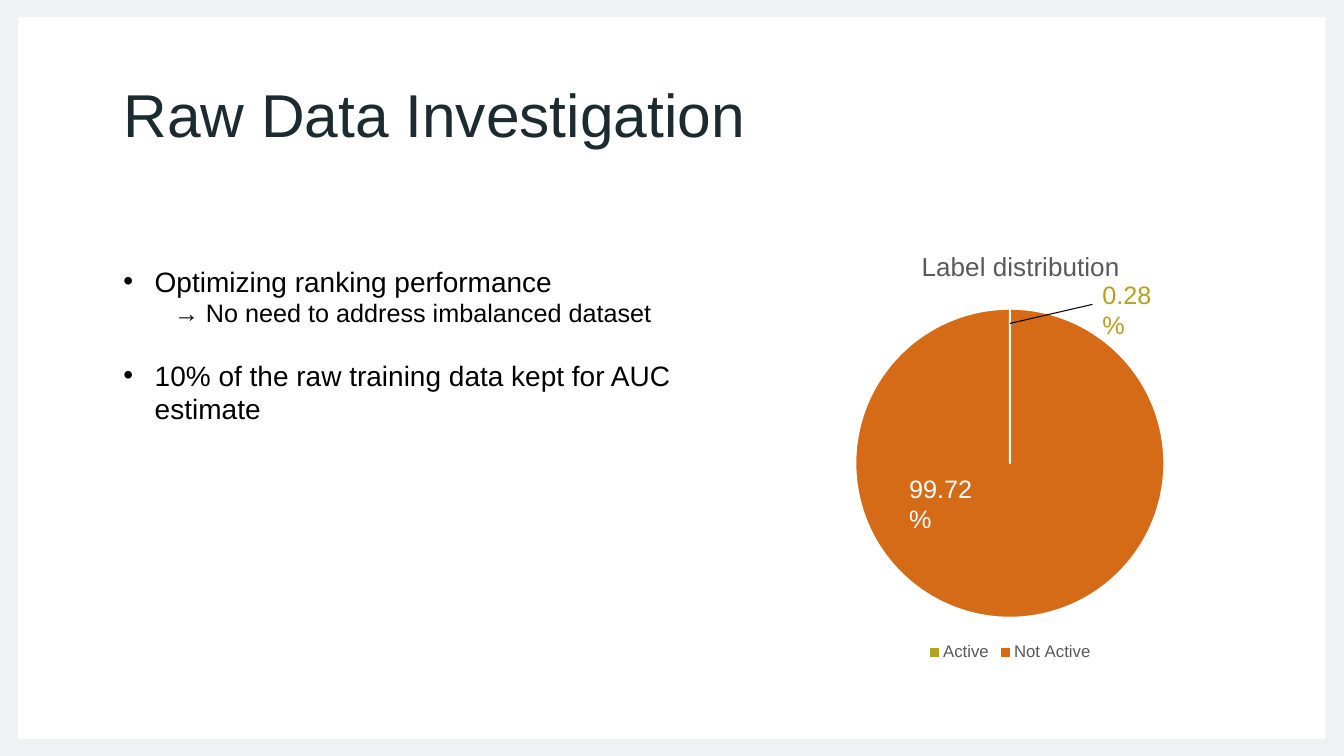
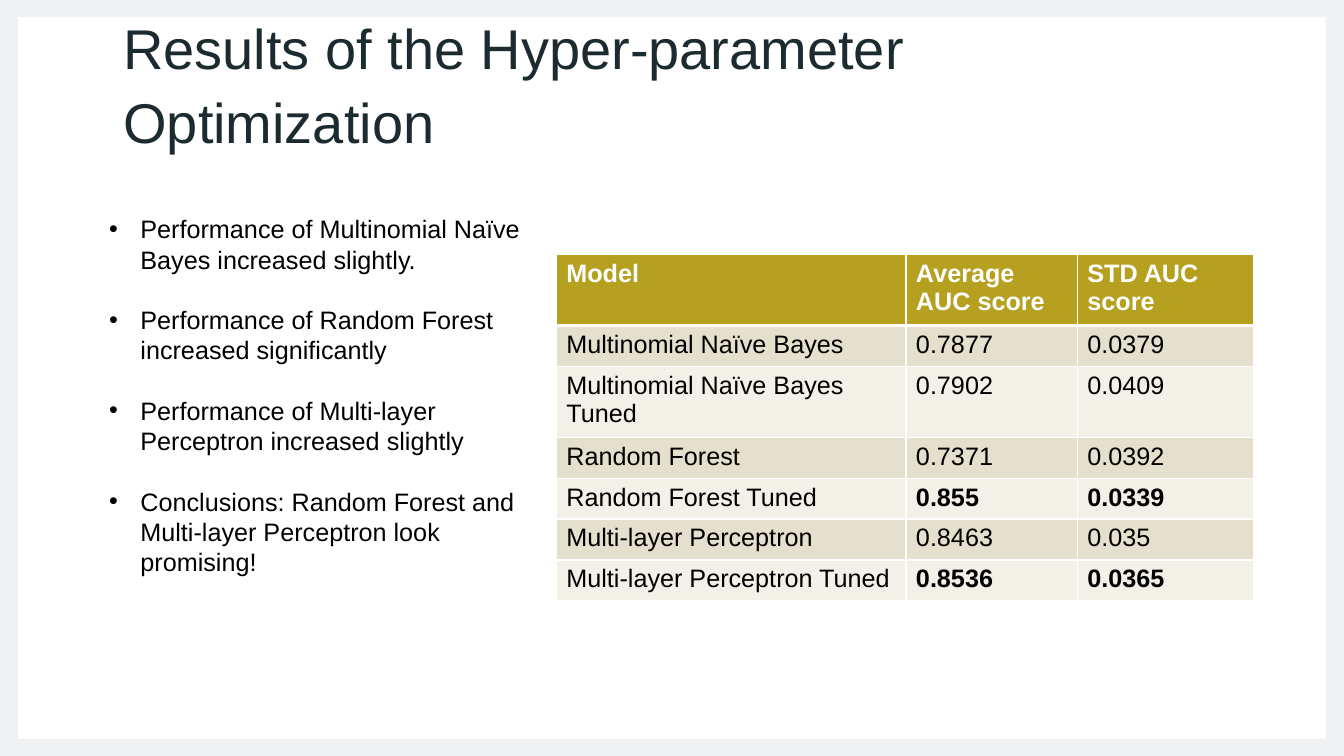
from dataclasses import dataclass

from lxml import etree
from pptx import Presentation
from pptx.chart.data import CategoryChartData
from pptx.dml.color import RGBColor
from pptx.enum.chart import XL_CHART_TYPE, XL_LEGEND_POSITION
from pptx.enum.shapes import MSO_CONNECTOR
from pptx.enum.text import MSO_ANCHOR, MSO_AUTO_SIZE
from pptx.oxml.ns import qn
from pptx.slide import Slide
from pptx.table import _Cell
from pptx.text.text import Font, TextFrame, _Paragraph
from pptx.util import Cm, Pt

PIE = XL_CHART_TYPE.PIE
LEGEND_BOTTOM = XL_LEGEND_POSITION.BOTTOM
STRAIGHT = MSO_CONNECTOR.STRAIGHT
ANCHOR_TOP = MSO_ANCHOR.TOP
ANCHOR_BOTTOM = MSO_ANCHOR.BOTTOM
NO_AUTOFIT = MSO_AUTO_SIZE.NONE


@dataclass(frozen=True)
class Theme:
    font: str = "Arial"
    frame: str = "F0F1F3"
    heading: str = "1B2B30"
    text: str = "000000"
    muted: str = "595959"
    white: str = "FFFFFF"
    olive: str = "B6A020"
    orange: str = "D56A17"
    band_dark: str = "E5DFCD"
    band_light: str = "F3F0E8"
    title_size: float = 43.2
    long_title_size: float = 40
    lead_size: float = 20
    body_size: float = 18
    chart_title_size: float = 18.6
    chart_size: float = 10
    legend_size: float = 12
    bullet_gap: float = 21.6


@dataclass(frozen=True)
class Box:
    left: float
    top: float
    width: float
    height: float

    def emu(self) -> tuple[Cm, Cm, Cm, Cm]:
        return Cm(self.left), Cm(self.top), Cm(self.width), Cm(self.height)


@dataclass(frozen=True)
class Item:
    text: str
    size: float
    gap: float = 0
    level: int = 0


@dataclass(frozen=True)
class Label:
    text: str
    box: Box
    color: str


@dataclass(frozen=True)
class Score:
    model: str
    average: str
    std: str
    best: bool = False
    height: float = 1.03


THEME = Theme()
PAGE = Box(0, 0, 33.87, 19.05)
PANEL = Box(0.46, 0.43, 32.95, 18.19)
TEXT_LEFT = 2.86
BULLET_INDENT = 0.79
SUB_INDENT = 1.27

INVESTIGATION = [
    Item("Optimizing ranking performance", THEME.lead_size),
    Item("→ No need to address imbalanced dataset", THEME.body_size, level=1),
    Item("10% of the raw training data kept for AUC estimate",
         THEME.lead_size, THEME.bullet_gap),
]
FINDINGS = [
    "Performance of Multinomial Naïve Bayes increased slightly.",
    "Performance of Random Forest increased significantly",
    "Performance of Multi-layer Perceptron increased slightly",
    "Conclusions: Random Forest and Multi-layer Perceptron look promising!",
]
SHARES = {"Active": 0, "Not Active": 100}
SHARE_LABELS = [
    Label("0.28%", Box(27.53, 6.92, 2.08, 1.02), THEME.olive),
    Label("99.72%", Box(22.66, 11.8, 2.41, 1.02), THEME.white),
]
HEADERS = ["Model", "Average AUC score", "STD AUC score"]
TWO_LINE_HEIGHT = 1.79
SCORES = [
    Score("Multinomial Naïve Bayes", "0.7877", "0.0379"),
    Score("Multinomial Naïve Bayes Tuned", "0.7902", "0.0409", height=TWO_LINE_HEIGHT),
    Score("Random Forest", "0.7371", "0.0392"),
    Score("Random Forest Tuned", "0.855", "0.0339", best=True),
    Score("Multi-layer Perceptron", "0.8463", "0.035"),
    Score("Multi-layer Perceptron Tuned", "0.8536", "0.0365", best=True),
]
COLUMN_WIDTHS = [8.81, 4.32, 4.45]


def rgb(color: str) -> RGBColor:
    return RGBColor.from_string(color)


def style_font(font: Font, size: float, color: str, bold: bool = False) -> None:
    font.name = THEME.font
    font.size = Pt(size)
    font.bold = bold
    font.color.rgb = rgb(color)


def style_runs(p: _Paragraph, size: float, color: str, bold: bool = False) -> None:
    for r in p.runs:
        style_font(r.font, size, color, bold)


def add_text_frame(s: Slide, box: Box) -> TextFrame:
    tf = s.shapes.add_textbox(*box.emu()).text_frame
    tf.word_wrap = True
    tf.auto_size = NO_AUTOFIT
    tf.vertical_anchor = ANCHOR_TOP
    return tf


def add_frame(s: Slide) -> None:
    right, bottom = Cm(PANEL.left + PANEL.width), Cm(PANEL.top + PANEL.height)
    left, top = Cm(PANEL.left), Cm(PANEL.top)
    width, height = Cm(PAGE.width), Cm(PAGE.height)
    outline = s.shapes.build_freeform(left, top)
    outline.add_line_segments([(left, bottom), (right, bottom), (right, top)])
    outline.move_to(0, 0)
    outline.add_line_segments([(width, 0), (width, height), (0, height)])
    sp = outline.convert_to_shape()
    sp.shadow.inherit = False
    sp.fill.solid()
    sp.fill.fore_color.rgb = rgb(THEME.frame)
    sp.line.fill.background()


def add_title(s: Slide, text: str, size: float, height: float) -> None:
    tf = add_text_frame(s, Box(TEXT_LEFT, 2.01, 28.14, height))
    tf.vertical_anchor = ANCHOR_BOTTOM
    tf.text = text
    p = tf.paragraphs[0]
    p.line_spacing = 1.1
    style_runs(p, size, THEME.heading)


def start_slide(prs: Presentation, title: str, size: float, height: float) -> Slide:
    s = prs.slides.add_slide(prs.slide_layouts[6])
    s.background.fill.solid()
    s.background.fill.fore_color.rgb = rgb(THEME.white)
    add_frame(s)
    add_title(s, title, size, height)
    return s


def indent(p: _Paragraph, level: int) -> None:
    pPr = p._p.get_or_add_pPr()
    if level:
        p.level = level
        pPr.set("marL", str(Cm(SUB_INDENT)))
        pPr.set("indent", "0")
        etree.SubElement(pPr, qn("a:buNone"))
    else:
        pPr.set("marL", str(Cm(BULLET_INDENT)))
        pPr.set("indent", str(-Cm(BULLET_INDENT)))
        etree.SubElement(pPr, qn("a:buFont"), typeface=THEME.font)
        etree.SubElement(pPr, qn("a:buChar"), char="•")


def add_bullets(s: Slide, box: Box, items: list[Item]) -> None:
    tf = add_text_frame(s, box)
    tf.text = "\n".join(item.text for item in items)
    for p, item in zip(tf.paragraphs, items):
        p.space_before = Pt(item.gap)
        indent(p, item.level)
        style_runs(p, item.size, THEME.text)


def add_label(s: Slide, label: Label) -> None:
    tf = add_text_frame(s, label.box)
    tf.text = label.text
    style_runs(tf.paragraphs[0], THEME.body_size, label.color)


def add_leader(s: Slide, x1: float, y1: float, x2: float, y2: float) -> None:
    leader = s.shapes.add_connector(STRAIGHT, Cm(x1), Cm(y1), Cm(x2), Cm(y2))
    leader.line.color.rgb = rgb(THEME.text)
    leader.line.width = Pt(0.75)
    etree.SubElement(leader._element.spPr, qn("a:effectLst"))


def place(part: etree.ElementBase, index: int, **settings: str | float) -> None:
    for old in part.findall(qn("c:layout")):
        part.remove(old)
    layout = etree.Element(qn("c:layout"))
    manual = etree.SubElement(layout, qn("c:manualLayout"))
    for name, value in settings.items():
        etree.SubElement(manual, qn(f"c:{name}"), val=str(value))
    part.insert(index, layout)


def add_pie(s: Slide, box: Box, title: str, shares: dict[str, float]) -> None:
    data = CategoryChartData(number_format="0")
    data.categories = list(shares)
    data.add_series(title, list(shares.values()))
    chart = s.shapes.add_chart(PIE, *box.emu(), data).chart
    style_font(chart.font, THEME.chart_size, THEME.text)
    chart.has_title = True
    chart.chart_title.include_in_layout = False
    tf = chart.chart_title.text_frame
    tf.text = title
    style_runs(tf.paragraphs[0], THEME.chart_title_size, THEME.muted)
    chart.has_legend = True
    chart.legend.position = LEGEND_BOTTOM
    chart.legend.include_in_layout = False
    style_font(chart.legend.font, THEME.legend_size, THEME.muted)
    plot = chart.plots[0]
    plot.vary_by_categories = True
    plot.has_data_labels = False
    for i, color in enumerate([THEME.olive, THEME.orange]):
        style = plot.series[0].points[i].format
        style.fill.solid()
        style.fill.fore_color.rgb = rgb(color)
        style.line.color.rgb = rgb(THEME.white)
        style.line.width = Pt(1.5)
    place(chart.chart_title._element, 1, xMode="edge", yMode="edge", x=0.31, y=0.02)
    place(chart._chartSpace.chart.plotArea, 0, layoutTarget="inner",
          xMode="edge", yMode="edge", x=0.18, y=0.17, w=0.64, h=0.72)


def fill_cell(cell: _Cell, text: str, fill: str, color: str, bold: bool,
              bottom_width: float = 1) -> None:
    cell.text = text
    style_runs(cell.text_frame.paragraphs[0], THEME.body_size, color, bold)
    cell.fill.solid()
    cell.fill.fore_color.rgb = rgb(fill)
    tcPr = cell._tc.get_or_add_tcPr()
    widths = {"lnL": 1, "lnR": 1, "lnT": 1, "lnB": bottom_width}
    for i, (side, width) in enumerate(widths.items()):
        border = etree.Element(qn(f"a:{side}"), w=str(Pt(width)))
        solid = etree.SubElement(border, qn("a:solidFill"))
        etree.SubElement(solid, qn("a:srgbClr"), val=THEME.white)
        tcPr.insert(i, border)


def add_scores(s: Slide, left: float, top: float) -> None:
    heights = [TWO_LINE_HEIGHT] + [score.height for score in SCORES]
    box = Box(left, top, sum(COLUMN_WIDTHS), sum(heights))
    table = s.shapes.add_table(len(heights), len(HEADERS), *box.emu()).table
    table.horz_banding = False
    for column, width in zip(table.columns, COLUMN_WIDTHS):
        column.width = Cm(width)
    for row, height in zip(table.rows, heights):
        row.height = Cm(height)
    for j, header in enumerate(HEADERS):
        fill_cell(table.cell(0, j), header, THEME.olive, THEME.white, True, 3)
    for i, score in enumerate(SCORES, start=1):
        fill = THEME.band_dark if i % 2 else THEME.band_light
        for j, text in enumerate([score.model, score.average, score.std]):
            fill_cell(table.cell(i, j), text, fill, THEME.text, score.best and j > 0)


def build_investigation(prs: Presentation) -> None:
    s = start_slide(prs, "Raw Data Investigation", THEME.title_size, 1.88)
    add_pie(s, Box(19.28, 5.94, 12.34, 10.82), "Label distribution", SHARES)
    add_bullets(s, Box(TEXT_LEFT, 6.53, 16.43, 3.51), INVESTIGATION)
    add_leader(s, 25.45, 8.15, 27.53, 7.67)
    for label in SHARE_LABELS:
        add_label(s, label)


def build_results(prs: Presentation) -> None:
    s = start_slide(prs, "Results of the Hyper-parameter Optimization",
                    THEME.long_title_size, 2.01)
    items = [Item(text, THEME.body_size, THEME.bullet_gap if i else 0)
             for i, text in enumerate(FINDINGS)]
    add_bullets(s, Box(2.5, 5.26, 11, 9.5), items)
    add_scores(s, 14.02, 6.41)


prs = Presentation()
prs.slide_width, prs.slide_height = Cm(PAGE.width), Cm(PAGE.height)
build_investigation(prs)
build_results(prs)
prs.save("out.pptx")
